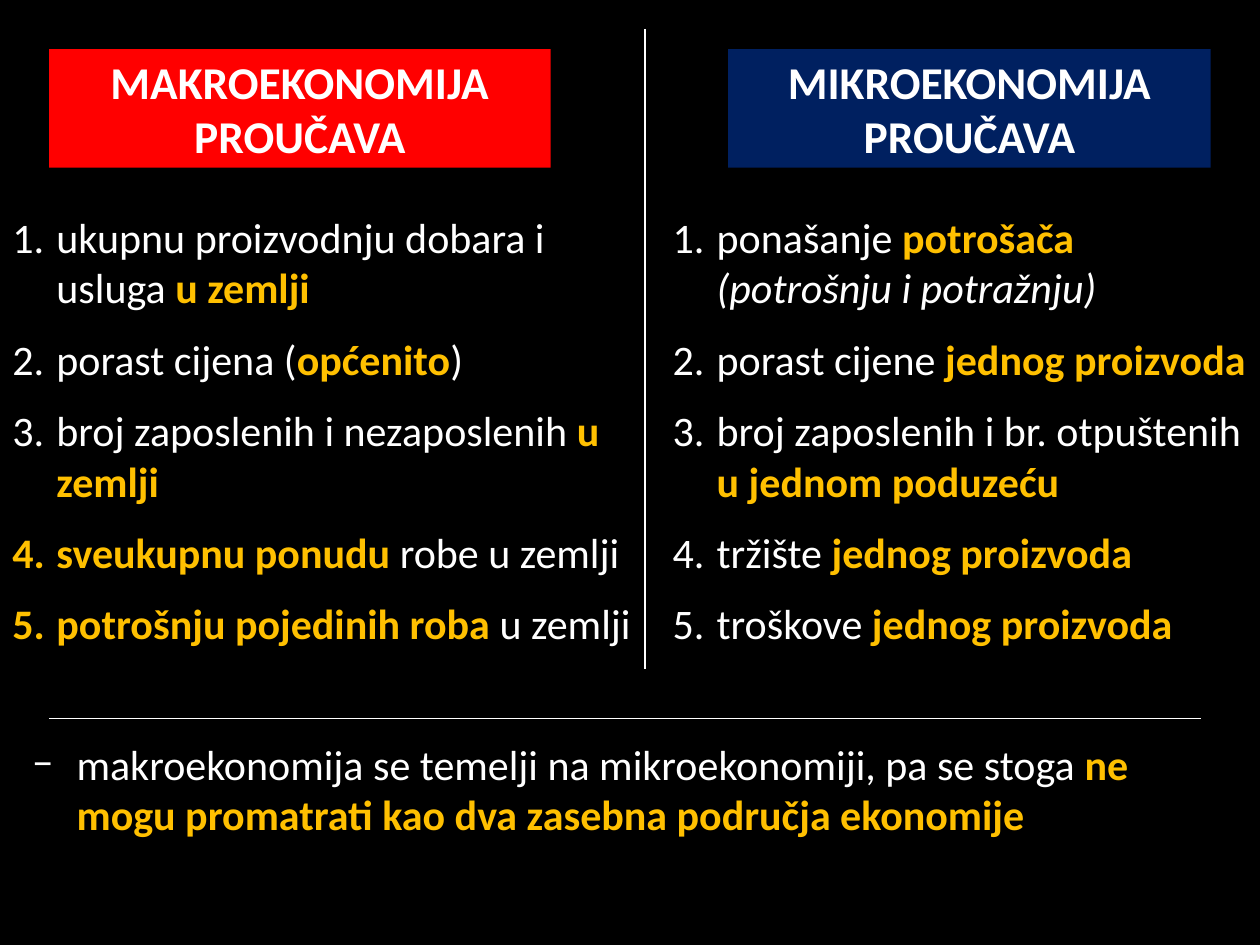
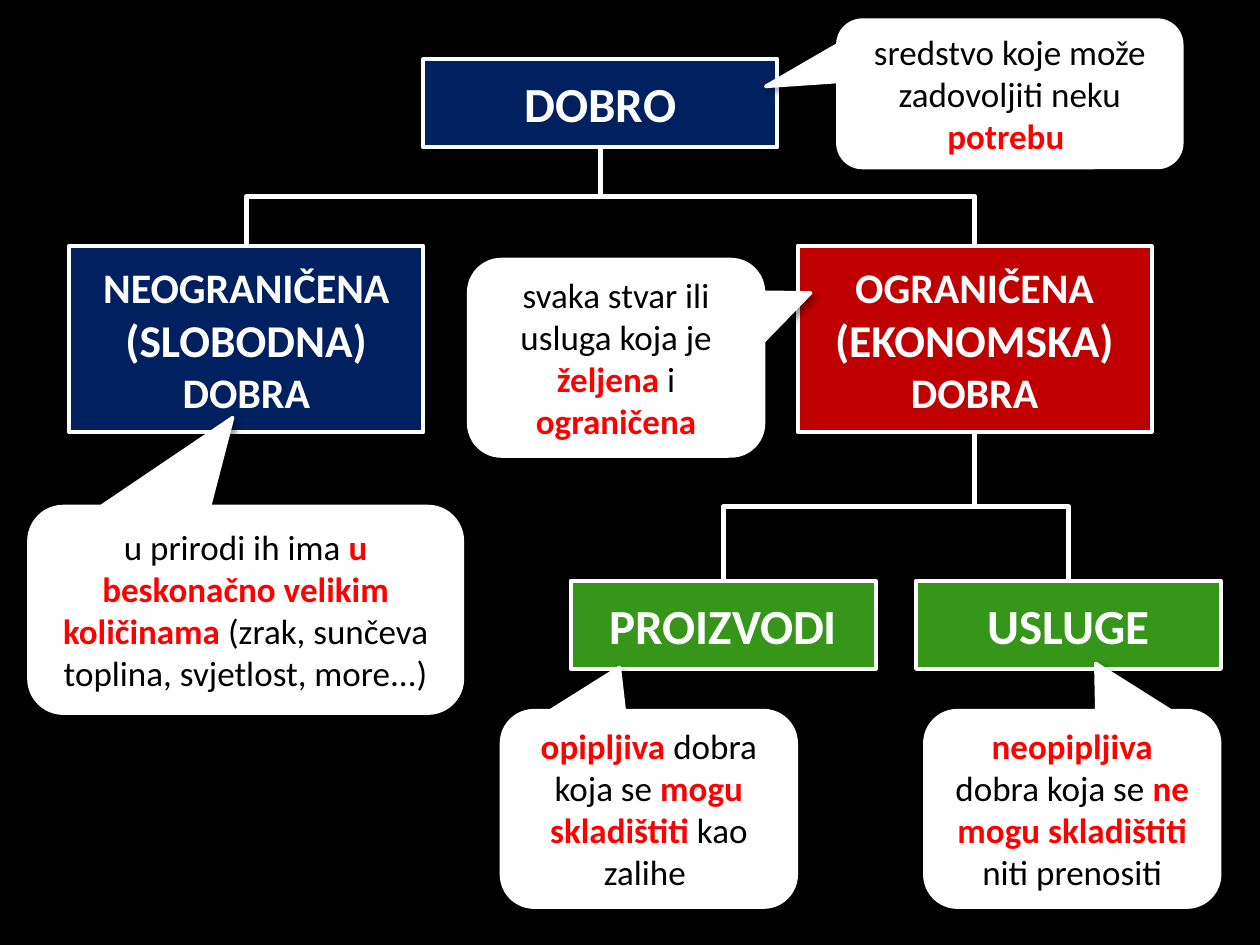
from dataclasses import dataclass
from lxml.etree import SubElement
from pptx import Presentation
from pptx.dml.color import RGBColor
from pptx.enum.shapes import MSO_CONNECTOR, MSO_SHAPE
from pptx.enum.text import MSO_ANCHOR, PP_ALIGN
from pptx.oxml.ns import qn
from pptx.util import Inches, Pt


@dataclass(frozen=True)
class Theme:
    font: str = "Calibri"
    black: str = "000000"
    white: str = "FFFFFF"
    red: str = "FF0000"
    navy: str = "002060"
    wine: str = "C00000"
    green: str = "35961A"
    gold: str = "FFC000"
    note: int = 20
    body: int = 24
    head: int = 26
    big: int = 28


@dataclass
class Run:
    text: str
    color: str
    size: int
    bold: bool = False
    slant: bool = False


T = Theme()


def plain(text, slant=False):
    return Run(text, T.white, T.body, slant=slant)


def gold(text):
    return Run(text, T.gold, T.body, True)


def dark(text):
    return Run(text, T.black, T.note)


def red(text):
    return Run(text, T.red, T.note, True)


def label(text, size=T.big):
    return Run(text, T.white, size, True)


class Deck:
    def __init__(self, theme):
        self.theme = theme
        self.prs = Presentation()
        self.prs.slide_width = Inches(10)
        self.prs.slide_height = Inches(7.5)

    def page(self):
        self.slide = self.prs.slides.add_slide(self.prs.slide_layouts[6])
        fill = self.slide.background.fill
        fill.solid()
        fill.fore_color.rgb = RGBColor.from_string(self.theme.black)

    def add_runs(self, para, runs):
        for item in runs:
            run = para.add_run()
            run.text = item.text
            font = run.font
            font.name = self.theme.font
            font.size = Pt(item.size)
            font.bold = item.bold
            font.italic = item.slant
            font.color.rgb = RGBColor.from_string(item.color)

    def shape(self, kind, at, fill, runs, edge=0):
        shape = self.slide.shapes.add_shape(kind, *map(Inches, at))
        shape.shadow.inherit = False
        shape.fill.solid()
        shape.fill.fore_color.rgb = RGBColor.from_string(fill)
        if edge:
            self.ink(shape, edge)
        else:
            shape.line.fill.background()
        frame = shape.text_frame
        frame.word_wrap = True
        frame.vertical_anchor = MSO_ANCHOR.MIDDLE
        para = frame.paragraphs[0]
        para.alignment = PP_ALIGN.CENTER
        self.add_runs(para, runs)
        return shape

    def box(self, at, fill, runs, edge=2.25):
        return self.shape(MSO_SHAPE.RECTANGLE, at, fill, runs, edge)

    def bubble(self, at, tip, runs):
        shape = self.shape(MSO_SHAPE.ROUNDED_RECTANGULAR_CALLOUT, at,
                           self.theme.white, runs, 2)
        shape.adjustments[0], shape.adjustments[1] = tip
        effect = shape._element.spPr.find(qn("a:effectLst"))
        shade = SubElement(effect, qn("a:outerShdw"), blurRad=str(Pt(4)),
                           dist=str(Pt(3)), dir="2700000", algn="tl",
                           rotWithShape="0")
        color = SubElement(shade, qn("a:srgbClr"), val=self.theme.black)
        SubElement(color, qn("a:alpha"), val="40000")

    def items(self, at, mark, rows):
        frame = self.slide.shapes.add_textbox(*map(Inches, at)).text_frame
        frame.word_wrap = True
        for i, runs in enumerate(rows):
            para = frame.paragraphs[0] if i == 0 else frame.add_paragraph()
            props = para._p.get_or_add_pPr()
            props.set("marL", str(Inches(0.35)))
            props.set("indent", str(-Inches(0.35)))
            if i:
                para.space_before = Pt(12)
            SubElement(props, qn("a:buFont"), typeface=self.theme.font)
            if mark:
                SubElement(props, qn("a:buChar"), char=mark)
            else:
                SubElement(props, qn("a:buAutoNum"), type="arabicPeriod")
            self.add_runs(para, runs)

    def ink(self, shape, width):
        shape.line.color.rgb = RGBColor.from_string(self.theme.white)
        shape.line.width = Pt(width)

    def wire(self, kind, ends, width):
        wire = self.slide.shapes.add_connector(kind, *map(Inches, ends))
        self.ink(wire, width)
        SubElement(wire._element.spPr, qn("a:effectLst"))
        return wire

    def rule(self, *ends):
        self.wire(MSO_CONNECTOR.STRAIGHT, ends, 0.75)

    def branch(self, top, low):
        wire = self.wire(MSO_CONNECTOR.ELBOW, (0, 0, 1, 1), 3)
        wire.begin_connect(top, 2)
        wire.end_connect(low, 0)
        x1, y1, x2, y2 = wire.begin_x, wire.begin_y, wire.end_x, wire.end_y
        wide, tall = abs(x2 - x1), y2 - y1
        right = x2 > x1
        wire.left = (x1 + x2 - tall) // 2
        wire.top = (y1 + y2 - wide) // 2
        wire.width, wire.height = tall, wide
        form = wire._element.spPr.find(qn("a:xfrm"))
        form.set("rot", "16200000" if right else "5400000")
        form.set("flipH", "1" if right else "0")


def compare(deck):
    deck.page()
    deck.box((0.39, 0.39, 3.98, 0.94), T.red,
             [label("MAKROEKONOMIJA PROUČAVA", T.head)], 0)
    deck.box((5.78, 0.39, 3.83, 0.94), T.navy,
             [label("MIKROEKONOMIJA PROUČAVA", T.head)], 0)
    deck.items((0, 1.63, 5.16, 3.6), None, [
        [plain("ukupnu proizvodnju dobara i usluga "), gold("u zemlji")],
        [plain("porast cijena ("), gold("općenito"), plain(")")],
        [plain("broj zaposlenih i nezaposlenih "), gold("u zemlji")],
        [gold("sveukupnu ponudu "), plain("robe u zemlji")],
        [gold("potrošnju pojedinih roba "), plain("u zemlji")],
    ])
    deck.items((5.24, 1.63, 4.8, 3.6), None, [
        [plain("ponašanje "), gold("potrošača "),
         plain("(potrošnju i potražnju)", True)],
        [plain("porast cijene "), gold("jednog proizvoda")],
        [plain("broj zaposlenih i br. otpuštenih "),
         gold("u jednom poduzeću")],
        [plain("tržište "), gold("jednog proizvoda")],
        [plain("troškove "), gold("jednog proizvoda")],
    ])
    deck.items((0.16, 5.81, 9.3, 0.91), "−", [
        [plain("makroekonomija se temelji na mikroekonomiji, pa se stoga "),
         gold("ne mogu promatrati kao dva zasebna područja ekonomije")],
    ])
    deck.rule(5.12, 0.23, 5.12, 5.31)
    deck.rule(0.39, 5.7, 9.53, 5.7)


def goods(deck):
    deck.page()
    root = deck.box((3.36, 0.47, 2.81, 0.7), T.navy, [label("DOBRO")])
    free, scarce = [
        deck.box((x, 1.95, 2.81, 1.48), fill,
                 [label(name, T.body), label(kind, T.head),
                  label("DOBRA", T.body)])
        for x, fill, name, kind in (
            (0.55, T.navy, "NEOGRANIČENA ", "(SLOBODNA) "),
            (6.33, T.wine, "OGRANIČENA ", "(EKONOMSKA) "))
    ]
    wares, care = [
        deck.box((x, 4.61, 2.42, 0.7), T.green, [label(name)])
        for x, name in ((4.53, "PROIZVODI"), (7.27, "USLUGE"))
    ]
    for top, low in ((root, free), (root, scarce),
                     (scarce, wares), (scarce, care)):
        deck.branch(top, low)
    deck.bubble((6.65, 0.16, 2.73, 1.17), (-0.71, -0.05), [
        dark("sredstvo koje može zadovoljiti neku "), red("potrebu ")])
    deck.bubble((0.23, 4.02, 3.44, 1.64), (-0.03, -0.93), [
        dark("u prirodi ih ima "), red("u beskonačno velikim količinama "),
        dark("(zrak, sunčeva toplina, svjetlost, more...)")])
    deck.bubble((3.72, 2.06, 2.34, 1.56), (0.66, -0.33), [
        dark("svaka stvar ili usluga koja je "), red("željena "),
        dark("i "), red("ograničena")])
    deck.bubble((3.98, 5.64, 2.34, 1.56), (-0.1, -0.72), [
        red("opipljiva "), dark("dobra koja se "),
        red("mogu skladištiti "), dark("kao zalihe ")])
    deck.bubble((7.34, 5.64, 2.34, 1.56), (0.08, -0.74), [
        red("neopipljiva "), dark("dobra koja se "),
        red("ne mogu skladištiti "), dark("niti prenositi")])


def main():
    deck = Deck(T)
    compare(deck)
    goods(deck)
    deck.prs.save("out.pptx")


if __name__ == "__main__":
    main()
